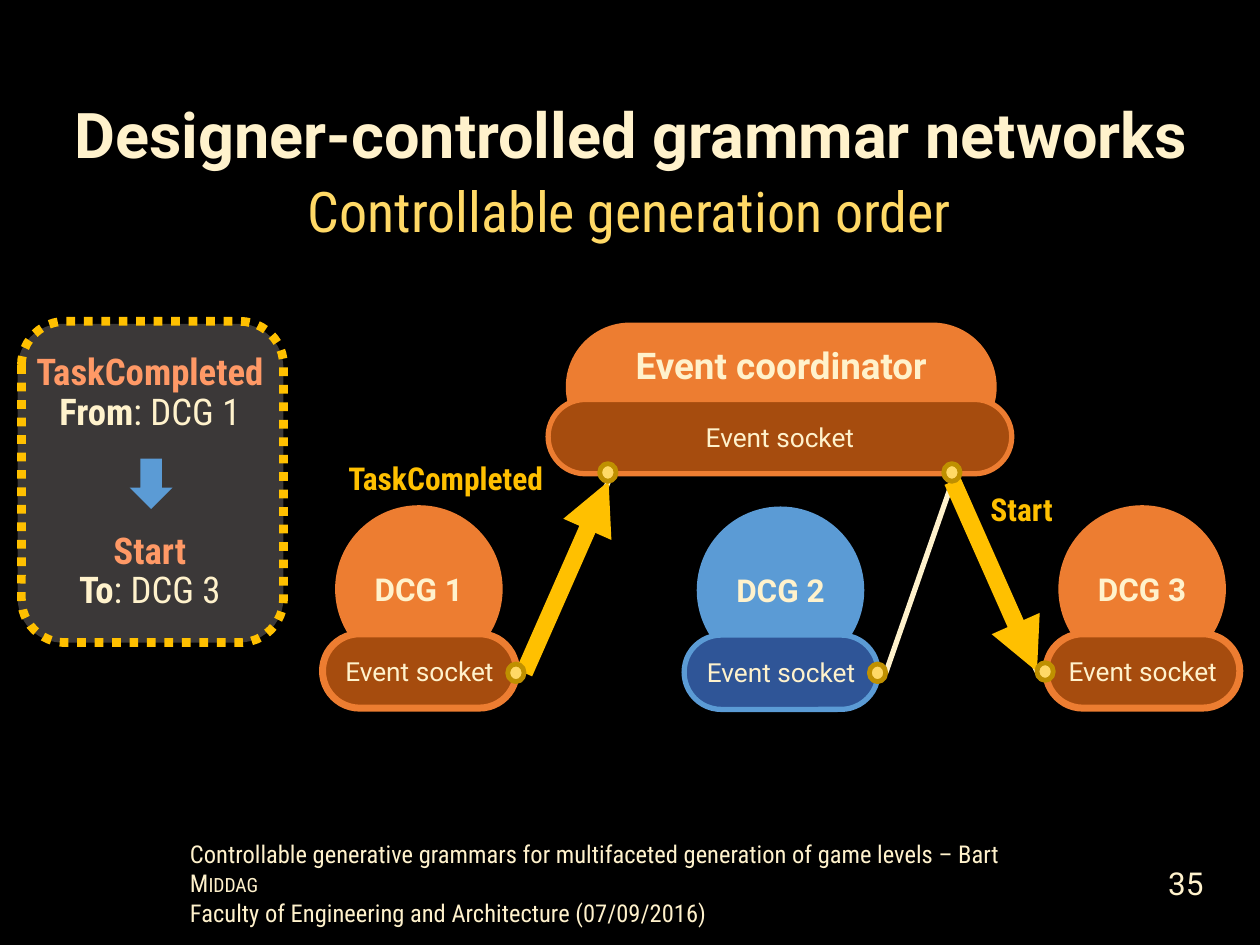
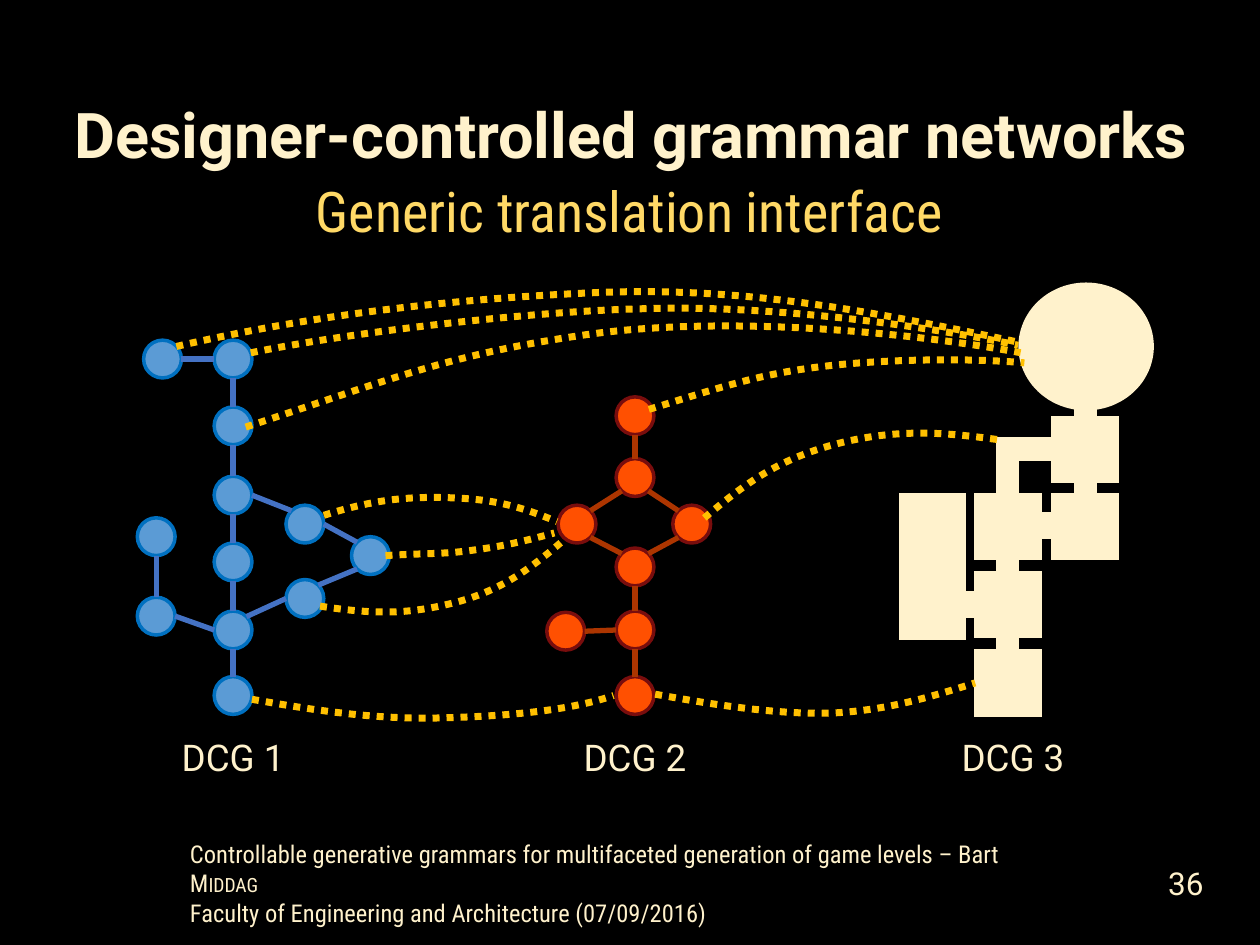
"""Build two slides on designer-controlled grammar networks."""
from math import cos, radians, sin

from lxml.etree import SubElement
from pptx import Presentation
from pptx.dml.color import RGBColor
from pptx.enum.dml import MSO_LINE
from pptx.enum.shapes import MSO_CONNECTOR, MSO_SHAPE
from pptx.enum.text import MSO_ANCHOR, PP_ALIGN
from pptx.oxml.ns import qn
from pptx.util import Inches, Pt

prs = Presentation()
prs.slide_width, prs.slide_height = Inches(10), Inches(7.5)
cell = prs.slide_width // 10

CREAM, GOLD, YELLOW, SALMON = "FFF2CC", "FFC000", "FFD966", "FF9966"
ORANGE, RUST, BLUE, NAVY = "ED7D31", "A64C0E", "5B9BD5", "2F5597"
CONDENSED = "Roboto Condensed"
ROUND, OVAL, RECT = MSO_SHAPE.ROUNDED_RECTANGLE, MSO_SHAPE.OVAL, MSO_SHAPE.RECTANGLE


def draw(kind, box, fill=None, line=None, width=0, dash=None):
    at = [round(v * cell) for v in box]
    if kind == "text":
        return s.add_textbox(*at)
    if kind == "line":
        sp = s.add_connector(MSO_CONNECTOR.STRAIGHT, *at)
    elif kind == "curve":
        points = list(zip(at[::2], at[1::2]))
        builder = s.build_freeform(*points[0])
        builder.add_line_segments(points[3::3], close=False)
        sp = builder.convert_to_shape()
        outline = next(sp._element.iter(qn("a:path")))
        for i, segment in enumerate(outline.findall(qn("a:lnTo"))):
            outline.remove(segment)
            bezier = SubElement(outline, qn("a:cubicBezTo"))
            for x, y in points[3 * i + 1:3 * i + 4]:
                SubElement(bezier, qn("a:pt"), x=str(x - sp.left), y=str(y - sp.top))
    else:
        sp = s.add_shape(kind, *at)
    if fill:
        sp.fill.solid()
        sp.fill.fore_color.rgb = RGBColor.from_string(fill)
    elif kind != "line":
        sp.fill.background()
    if line:
        sp.line.color.rgb = RGBColor.from_string(line)
        sp.line.width = Pt(width)
        if dash:
            sp.line.dash_style = dash
        if kind == RECT:
            SubElement(sp.line._get_or_add_ln(), qn("a:miter"), lim="800000")
    else:
        sp.line.fill.background()
    SubElement(sp._element.spPr, qn("a:effectLst"))
    return sp


def write(sp, text, size, color=CREAM, font="Roboto", bold=False,
          align=PP_ALIGN.CENTER, spacing=0.9, wrap=False):
    tf = sp.text_frame
    tf.word_wrap = wrap
    tf.vertical_anchor = MSO_ANCHOR.MIDDLE
    if not wrap:
        tf.margin_left = tf.margin_right = Inches(0 if align == PP_ALIGN.CENTER else 0.07)
    for i, row in enumerate(text.split("\n")):
        p = tf.add_paragraph() if i else tf.paragraphs[0]
        p.alignment, p.line_spacing = align, spacing
        for part in row.split("|"):
            r = p.add_run()
            r.text = part
            r.font.size, r.font.name, r.font.bold = Pt(size), font, bold
            r.font.color.rgb = RGBColor.from_string(color)
    return tf


slides = []
for number, subtitle in ((35, "Controllable generation order"),
                         (36, "Generic translation interface")):
    slide = prs.slides.add_slide(prs.slide_layouts[6])
    slide.background.fill.solid()
    slide.background.fill.fore_color.rgb = RGBColor.from_string("000000")
    s = slide.shapes
    slides.append(s)
    tf = write(draw("text", (1.41, 6.61, 7.17, 0.57)),
               "Controllable generative grammars for multifaceted generation of game levels – Bart |Middag\n"
               "Faculty of Engineering and Architecture (07/09/2016)",
               14, font=CONDENSED, align=PP_ALIGN.LEFT, spacing=1, wrap=True)
    tf.vertical_anchor = MSO_ANCHOR.TOP
    tf.paragraphs[0].runs[1].font._element.set("cap", "small")
    write(draw("text", (0.48, 0.57, 9.06, 1.06)), "Designer-controlled grammar networks",
          36, bold=True, wrap=True)
    tf = write(draw("text", (0.69, 1.41, 8.62, 0.62)), subtitle, 32, YELLOW, CONDENSED, wrap=True)
    tf.vertical_anchor = MSO_ANCHOR.TOP
    tf.paragraphs[0].space_before = Pt(10)
    write(draw("text", (8.51, 6.81, 1.14, 0.4)), str(number), 18,
          align=PP_ALIGN.RIGHT, spacing=1, wrap=True)

s = slides[0]
draw(ROUND, (0.14, 2.57, 2.11, 2.53), "3B3838")
draw(MSO_SHAPE.DOWN_ARROW, (1.03, 3.64, 0.34, 0.4), BLUE)
for y, h, text in ((2.61, 1.03, "TaskCompleted\nFrom|: DCG 1"), (4.14, 0.8, "Start\nTo|: DCG 3")):
    tf = write(draw("text", (0.24, y, 1.9, h)), text, 21, SALMON, CONDENSED, True)
    for r in tf.paragraphs[1].runs:
        r.font.color.rgb = RGBColor.from_string(CREAM)
    r.font.bold = False
draw(ROUND, (0.17, 2.55, 2.08, 2.55), None, GOLD, 5, MSO_LINE.ROUND_DOT)

for box, text, align in (((2.69, 3.58, 1.69, 0.47), "TaskCompleted", PP_ALIGN.RIGHT),
                         ((7.79, 3.82, 0.72, 0.47), "Start", PP_ALIGN.LEFT)):
    write(draw("text", box), text, 18, GOLD, CONDENSED, True, align)

coordinator = draw(ROUND, (4.49, 2.56, 3.42, 1.02), ORANGE)
coordinator.adjustments[0] = 0.5
write(coordinator, "Event coordinator", 21, bold=True, spacing=1).margin_bottom = Inches(0.4)
sockets = [((4.35, 3.17, 3.68, 0.59), RUST, ORANGE, 3)]
for i, (y, fill, dark, width) in enumerate(((4.01, ORANGE, RUST, 4), (4.02, BLUE, NAVY, 3),
                                            (4.01, ORANGE, RUST, 4))):
    x = 2.56 + 2.87 * i
    write(draw(OVAL, (x + 0.1, y, 1.33, 1.33), fill), f"DCG {i + 1}", 18, bold=True, spacing=1)
    sockets.append(((x, y + 1.02, 1.54, 0.59), dark, fill, width))
for socket in sockets:
    sp = draw(ROUND, *socket)
    sp.adjustments[0] = 0.5
    write(sp, "Event socket", 15, spacing=1)

completed, start, idle = (4.16, 5.34, 4.83, 3.82), (7.56, 3.82, 8.23, 5.33), (7.03, 5.34, 7.56, 3.82)
for link in (completed, start, idle):
    draw("line", link, None, CREAM, 3)
for link in (completed, start):
    arrow = draw("line", link, None, GOLD, 10)
    SubElement(arrow.line._get_or_add_ln(), qn("a:tailEnd"), type="triangle")
for x, y in ((4.03, 5.27), (4.76, 3.68), (6.9, 5.27), (7.49, 3.68), (8.23, 5.26)):
    draw(MSO_SHAPE.FLOWCHART_CONNECTOR, (x, y, 0.13, 0.14), YELLOW, "BF9000", 2.75)

s = slides[1]
left, middle, right = 7.16, 7.76, 8.37
rows = [3.33, 3.94, 4.56, 5.18]
rooms = [(right, rows[0]), (right, rows[1])] + [(middle, y) for y in rows[1:]]
for x, y in rooms:
    draw(RECT, (x, y, 0.48, 0.48), CREAM, CREAM, 4)
draw(RECT, (left, rows[1], 0.48, 1.11), CREAM, CREAM, 4)
draw(OVAL, (8.11, 2.27, 1.02, 0.96), CREAM, CREAM, 4)
doors = [(x, y, 0.07, 0.11) for x, y in ((7.96, 4.43), (7.96, 5.05), (8.58, 3.81), (8.58, 3.23))]
doors += [(8.24, 4.12, 0.18, 0.1), (7.61, 4.75, 0.18, 0.1),
          (7.96, 3.52, 0.46, 0.08), (7.96, 3.52, 0.07, 0.42)]
for door in doors:
    draw(RECT, door, CREAM, CREAM, 8)

radius = 0.15
compass = {d: (radius * cos(radians(45 * i)), radius * sin(radians(45 * i)))
           for i, d in enumerate("E SE S SW W NW N NE".split())}
graphs = [
    (((5.04, 3.3), (5.04, 3.79), (4.58, 4.16), (5.49, 4.16),
      (5.04, 4.5), (5.04, 5), (4.49, 5.01), (5.04, 5.52)),
     "0 S 1 N, 4 S 5 N, 1 SE 3 NW, 1 SW 2 NE, 3 SW 4 NE, 2 SE 4 NW, 6 E 5 W, 5 S 7 N",
     "FF5001", "790D0D", "AC3500"),
    (((1.29, 2.85), (1.85, 2.85), (1.85, 3.38), (1.85, 3.93), (1.85, 4.46), (1.85, 5),
      (1.85, 5.52), (1.24, 4.89), (1.24, 4.26), (2.42, 4.16), (2.42, 4.75), (2.94, 4.41)),
     "1 S 2 N, 2 S 3 N, 3 S 4 N, 1 W 0 E, 3 E 9 NW, 4 S 5 N, 9 E 11 NW, 11 SW 10 NE, "
     "10 W 5 NE, 8 S 7 N, 7 E 5 W, 5 S 6 N",
     BLUE, "0070C0", "4472C4"),
]
for nodes, links, fill, outline, link_color in graphs:
    for x, y in nodes:
        draw(OVAL, (x - radius, y - radius, 2 * radius, 2 * radius), fill, outline, 2)
    for link in links.split(", "):
        a, a_side, b, b_side = link.split()
        ends = [c + d for n, side in ((a, a_side), (b, b_side))
                for c, d in zip(nodes[int(n)], compass[side])]
        draw("line", ends, None, link_color, 3)

for i, x in enumerate((1.09, 4.28, 7.28)):
    write(draw("text", (x, 5.76, 1.52, 0.54)), f"DCG {i + 1}", 21)

translations = [
    (1.95, 3.39, 3.08, 3.02, 3.53, 2.82, 4.63, 2.66, 5.72, 2.5, 7.18, 2.63, 8.1, 2.8),
    (1.99, 2.8, 2.82, 2.63, 4.23, 2.47, 5.11, 2.45, 5.99, 2.42, 7.16, 2.55, 8.08, 2.74),
    (1.4, 2.75, 2.53, 2.49, 3.61, 2.37, 4.79, 2.32, 5.97, 2.28, 6.96, 2.48, 8.1, 2.72),
    (5.15, 3.25, 5.7, 3.08, 6.02, 2.97, 6.52, 2.91, 7.01, 2.85, 7.69, 2.84, 8.13, 2.88),
    (5.59, 4.11, 5.89, 3.86, 6.15, 3.65, 6.65, 3.52, 7.16, 3.39, 7.55, 3.44, 7.93, 3.49),
    (5.2, 5.51, 5.7, 5.6, 6.17, 5.67, 6.59, 5.66, 7.01, 5.64, 7.33, 5.55, 7.74, 5.42),
    (2, 5.55, 2.51, 5.64, 2.92, 5.7, 3.4, 5.7, 3.88, 5.69, 4.46, 5.66, 4.87, 5.52),
    (2.54, 4.81, 3.04, 4.89, 3.3, 4.86, 3.62, 4.78, 3.95, 4.69, 4.17, 4.55, 4.47, 4.29),
    (3.06, 4.41, 3.35, 4.39, 3.51, 4.4, 3.73, 4.37, 3.95, 4.34, 4.07, 4.32, 4.4, 4.23),
    (2.57, 4.09, 2.98, 3.96, 3.25, 3.94, 3.56, 3.95, 3.87, 3.96, 4.09, 4, 4.42, 4.14),
]
for translation in translations:
    draw("curve", translation, None, GOLD, 4, MSO_LINE.ROUND_DOT)

prs.save("out.pptx")
